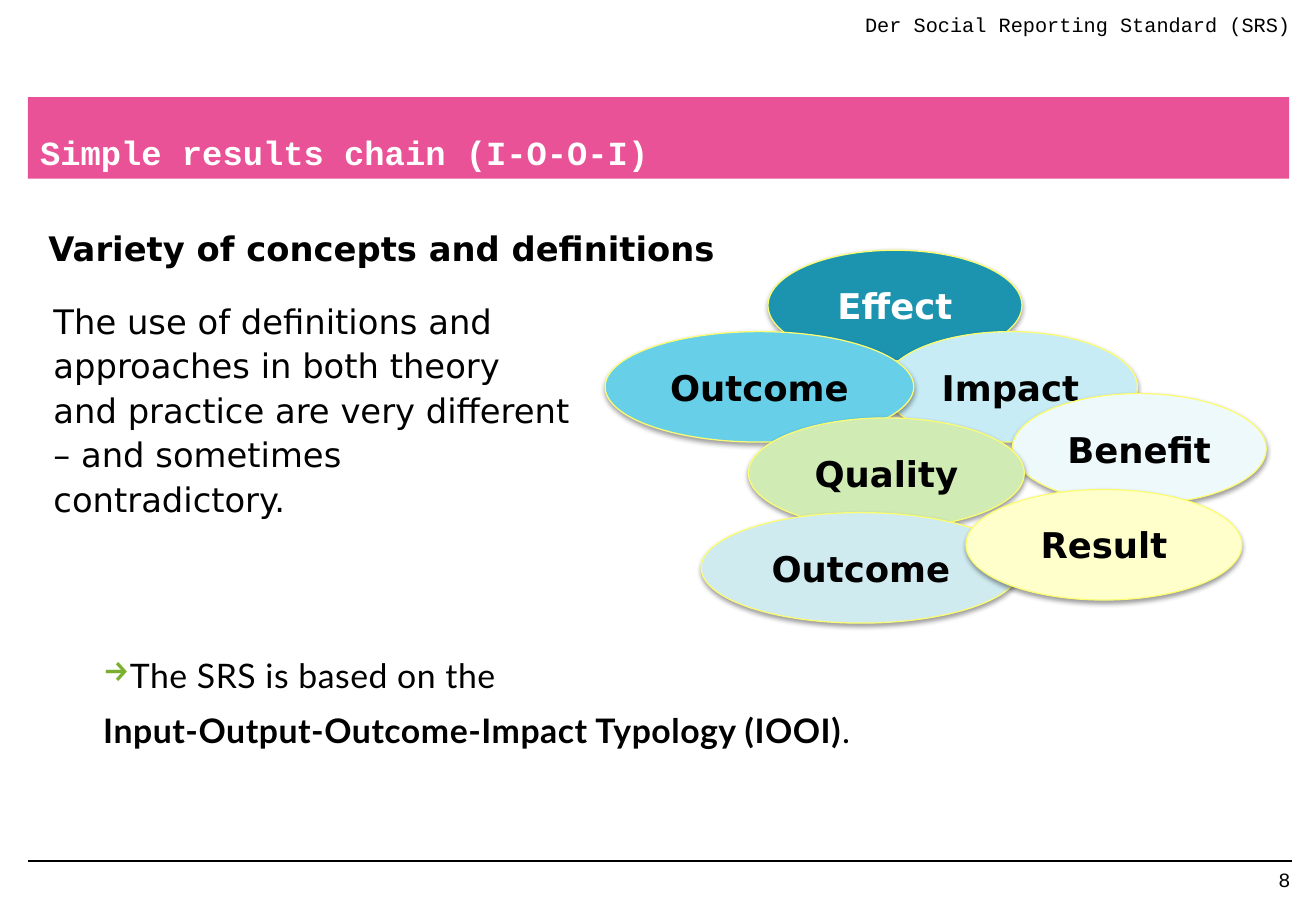
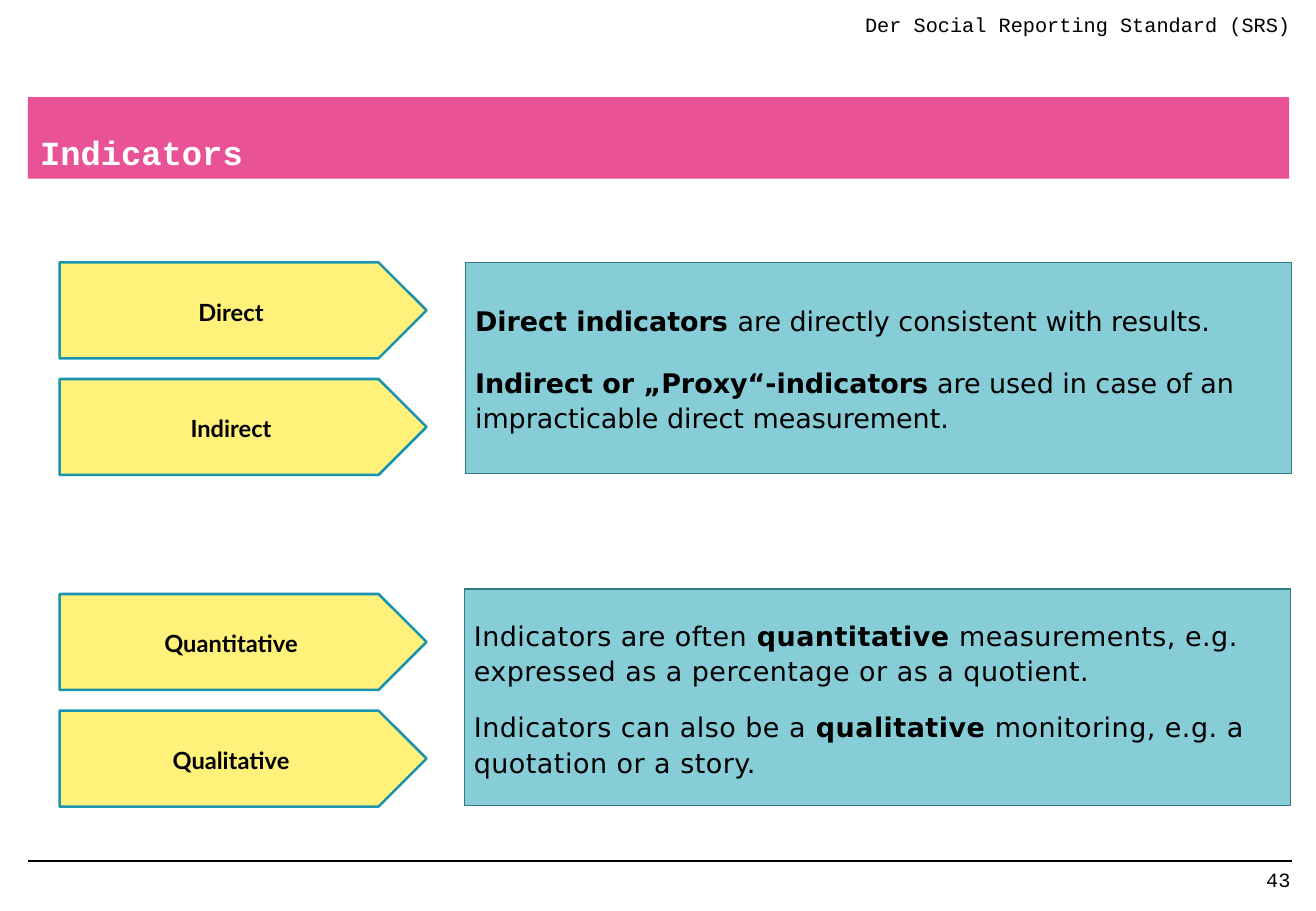
"""Build two Social Reporting Standard slides: the results chain and indicators."""
from lxml import etree
from pptx import Presentation
from pptx.dml.color import RGBColor
from pptx.enum import shapes, text
from pptx.oxml import ns
from pptx.util import Inches, Pt

BLACK = RGBColor(0x00, 0x00, 0x00)
WHITE = RGBColor(0xFF, 0xFF, 0xFF)
PINK = RGBColor(0xEA, 0x52, 0x97)
TEAL = RGBColor(0x1C, 0x94, 0xB0)
PALE_TEAL = RGBColor(0x87, 0xCD, 0xD7)
DARK_TEAL = RGBColor(0x2C, 0x78, 0x83)
YELLOW = RGBColor(0xFF, 0xF1, 0x7A)
ELLIPSE_EDGE = RGBColor(0xFD, 0xFD, 0x72)
SKY = RGBColor(0x67, 0xCF, 0xE7)
PALE_SKY = RGBColor(0xC7, 0xEC, 0xF5)
ICE = RGBColor(0xEE, 0xF9, 0xFC)
MINT = RGBColor(0xD0, 0xEB, 0xB3)
MIST = RGBColor(0xCF, 0xEB, 0xEF)
CREAM = RGBColor(0xFF, 0xFF, 0xCC)
MONO, SANS, LATO = "Courier New", "DejaVu Sans", "Lato"
MARGIN = 0.23


def write(paragraph, pieces, name, size, color=BLACK, tracking=0):
    """Add (text, bold) pieces to a paragraph in one font."""
    for content, bold in pieces:
        run = paragraph.add_run()
        run.text = content
        run.font.name = name
        run.font.size = Pt(size)
        run.font.bold = bold
        run.font.color.rgb = color
        if tracking:
            run.font._element.set("spc", str(tracking))


def prepare(shape, left=0.1, top=0.05, right=0.1, bottom=0.05, anchor=text.MSO_ANCHOR.TOP):
    """Set wrapping, insets and anchor, and return the text frame."""
    frame = shape.text_frame
    frame.word_wrap = True
    frame.auto_size = text.MSO_AUTO_SIZE.NONE
    frame.margin_left, frame.margin_top = Inches(left), Inches(top)
    frame.margin_right, frame.margin_bottom = Inches(right), Inches(bottom)
    frame.vertical_anchor = anchor
    return frame


presentation = Presentation()
presentation.slide_width = Inches(10.83)
presentation.slide_height = Inches(7.5)

slides = []
for layout, title, number in [(1, "Simple results chain (I-O-O-I)", "8"), (5, "Indicators", "43")]:
    slide = presentation.slides.add_slide(presentation.slide_layouts[layout])
    slides.append(slide)

    footer_line = slide.shapes.add_connector(
        shapes.MSO_CONNECTOR.STRAIGHT, Inches(MARGIN), Inches(7.09), Inches(10.63), Inches(7.09))
    footer_line.line.color.rgb = BLACK
    footer_line.line.width = Pt(1)
    etree.SubElement(footer_line._element.spPr, ns.qn("a:effectLst"))

    band = slide.shapes.title
    band.left, band.top = Inches(MARGIN), Inches(0.8)
    band.width, band.height = Inches(10.38), Inches(0.67)
    band.fill.solid()
    band.fill.fore_color.rgb = PINK
    paragraph = prepare(band, anchor=text.MSO_ANCHOR.BOTTOM).paragraphs[0]
    paragraph.alignment = text.PP_ALIGN.LEFT
    write(paragraph, [(title, True)], MONO, 20, WHITE)

    for content, left, top, width, height in [
            ("Der Social Reporting Standard (SRS)", 5.42, 0.05, 5.2, 0.4),
            (number, 8.09, 7.09, 2.53, 0.31)]:
        label = slide.shapes.add_textbox(Inches(left), Inches(top), Inches(width), Inches(height))
        paragraph = prepare(label, right=0).paragraphs[0]
        paragraph.alignment = text.PP_ALIGN.RIGHT
        write(paragraph, [(content, False)], MONO, 12)

chain_slide, indicator_slide = slides

heading = chain_slide.shapes.add_textbox(Inches(0.3), Inches(1.83), Inches(8.82), Inches(0.54))
write(prepare(heading).paragraphs[0], [("Variety of concepts and definitions", True)], SANS, 20)

body = chain_slide.placeholders[1]
body.left, body.top, body.width, body.height = Inches(0.34), Inches(2.39), Inches(4.47), Inches(2.98)
paragraph = prepare(body).paragraphs[0]
properties = paragraph._p.get_or_add_pPr()
properties.set("marL", "0")
properties.set("indent", "0")
etree.SubElement(properties, ns.qn("a:buNone"))
paragraph.line_spacing = 1.1
paragraph.space_before = Pt(0)
paragraph.space_after = Pt(6)
write(paragraph, [("The use of definitions and approaches in both theory and practice are very "
                   "different – and sometimes contradictory.", False)], SANS, 20)

concepts = [
    ("Effect", 6.32, 2.06, 2.09, TEAL, WHITE),
    ("Impact", 7.27, 2.73, 2.09, PALE_SKY, BLACK),
    ("Benefit", 8.33, 3.24, 2.09, ICE, BLACK),
    ("Outcome", 4.98, 2.73, 2.54, SKY, BLACK),
    ("Quality", 6.16, 3.44, 2.27, MINT, BLACK),
    ("Outcome", 5.77, 4.22, 2.63, MIST, BLACK),
    ("Result", 7.95, 4.03, 2.27, CREAM, BLACK),
]
for concept, left, top, width, fill, color in concepts:
    ellipse = chain_slide.shapes.add_shape(
        shapes.MSO_SHAPE.OVAL, Inches(left), Inches(top), Inches(width), Inches(0.91))
    ellipse.fill.solid()
    ellipse.fill.fore_color.rgb = fill
    ellipse.line.color.rgb = ELLIPSE_EDGE
    ellipse.line.width = Pt(0.75)
    ellipse.shadow.inherit = False
    effects = ellipse._element.spPr.find(ns.qn("a:effectLst"))
    shadow = etree.SubElement(effects, ns.qn("a:outerShdw"), blurRad=str(Pt(3.1)),
                              dist=str(Pt(1.6)), dir="5400000", rotWithShape="0")
    shadow_color = etree.SubElement(shadow, ns.qn("a:srgbClr"), val=str(BLACK))
    etree.SubElement(shadow_color, ns.qn("a:alpha"), val="38000")
    paragraph = prepare(ellipse, anchor=text.MSO_ANCHOR.MIDDLE).paragraphs[0]
    paragraph.alignment = text.PP_ALIGN.CENTER
    write(paragraph, [(concept, True)], SANS, 21, color)

conclusion = chain_slide.shapes.add_textbox(Inches(0.26), Inches(5.36), Inches(8.5), Inches(1.34))
frame = prepare(conclusion, 0, 0, 0, 0)
for paragraph, pieces in [
        (frame.paragraphs[0], [("The SRS is based on the", False)]),
        (frame.add_paragraph(), [("Input-Output-Outcome-Impact Typology (IOOI)", True), (".", False)])]:
    properties = paragraph._p.get_or_add_pPr()
    properties.set("marL", str(Inches(0.2)))
    properties.set("indent", str(Inches(0.39)))
    if paragraph._p is frame.paragraphs[0]._p:
        bullet_color = etree.SubElement(properties, ns.qn("a:buClr"))
        etree.SubElement(bullet_color, ns.qn("a:srgbClr"), val="7AB030")
        etree.SubElement(properties, ns.qn("a:buChar"), char="→")
    paragraph.line_spacing = 1.1
    paragraph.space_after = Pt(6)
    write(paragraph, pieces, LATO, 20, tracking=30)

explanations = [
    (3.83, 2.16, 1.74, 3.2, 0, [
        [("Direct indicators ", True), ("are directly consistent with results.", False)],
        [("Indirect or „Proxy“-indicators", True),
         (" are used in case of an impracticable direct measurement.", False)]]),
    (3.82, 4.85, 1.78, 0, 30, [
        [("Indicators are often ", False), ("quantitative", True),
         (" measurements, e.g. expressed as a percentage or as a quotient.", False)],
        [("Indicators can also be a ", False), ("qualitative", True),
         (" monitoring, e.g. a quotation or a story.", False)]]),
]
for left, top, height, space_before, tracking, paragraphs in explanations:
    panel = indicator_slide.shapes.add_shape(
        shapes.MSO_SHAPE.RECTANGLE, Inches(left), Inches(top), Inches(6.8), Inches(height))
    panel.shadow.inherit = False
    panel.fill.solid()
    panel.fill.fore_color.rgb = PALE_TEAL
    panel.line.color.rgb = DARK_TEAL
    panel.line.width = Pt(0.75)
    frame = prepare(panel, 0.08, 0.08, 0.08, 0.08, text.MSO_ANCHOR.MIDDLE)
    for index, pieces in enumerate(paragraphs):
        paragraph = frame.add_paragraph() if index else frame.paragraphs[0]
        paragraph.alignment = text.PP_ALIGN.LEFT
        paragraph.line_spacing = 1.1
        paragraph.space_before = Pt(space_before if index else 0)
        paragraph.space_after = Pt(12)
        write(paragraph, pieces, SANS, 16, tracking=tracking)

for group_top, names in [(2.16, ["Direct", "Indirect"]), (4.89, ["Quantitative", "Qualitative"])]:
    for row, name in enumerate(names):
        pentagon = indicator_slide.shapes.add_shape(
            shapes.MSO_SHAPE.PENTAGON, Inches(0.49), Inches(group_top + row * 0.96),
            Inches(3.02), Inches(0.79))
        pentagon.shadow.inherit = False
        pentagon.fill.solid()
        pentagon.fill.fore_color.rgb = YELLOW
        pentagon.line.color.rgb = TEAL
        pentagon.line.width = Pt(1.5)
        paragraph = prepare(pentagon, 0, 0, 0, 0, text.MSO_ANCHOR.MIDDLE).paragraphs[0]
        paragraph.alignment = text.PP_ALIGN.CENTER
        paragraph.line_spacing = 1.1
        write(paragraph, [(name, True)], LATO, 14)

presentation.save("out.pptx")
